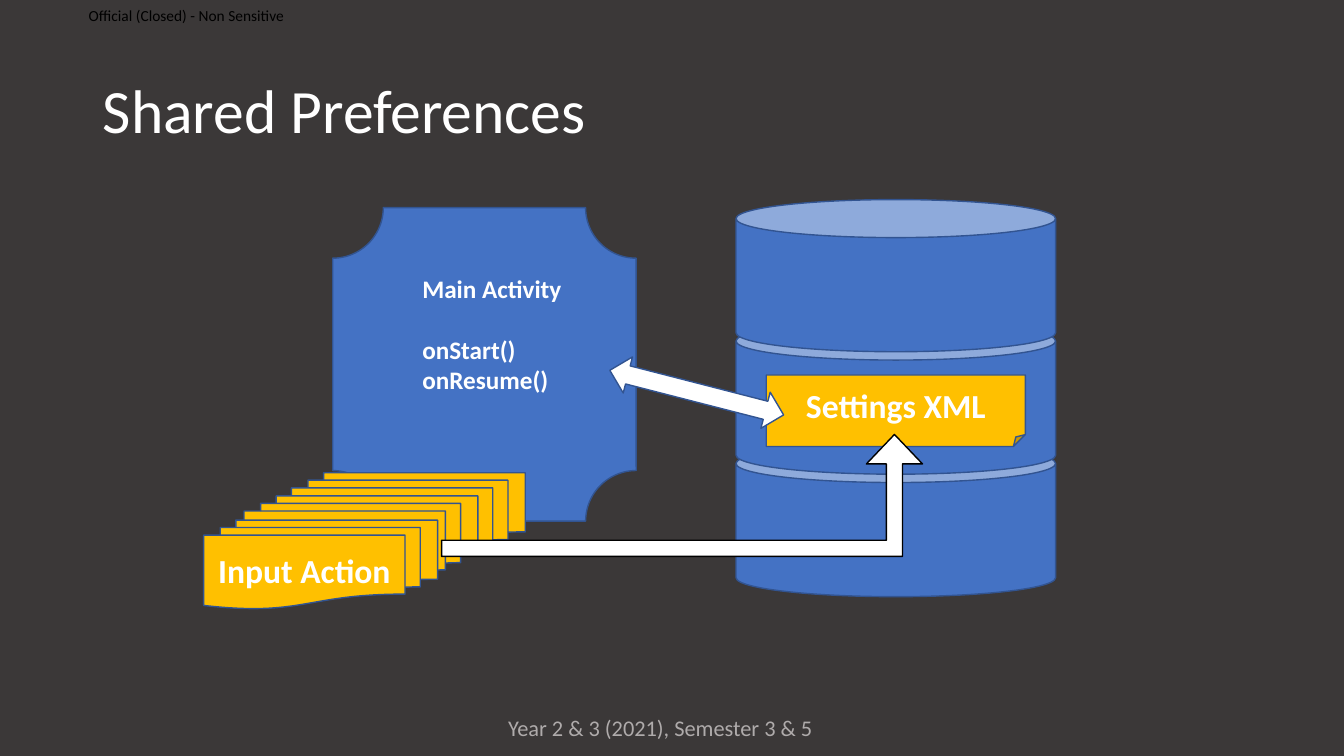
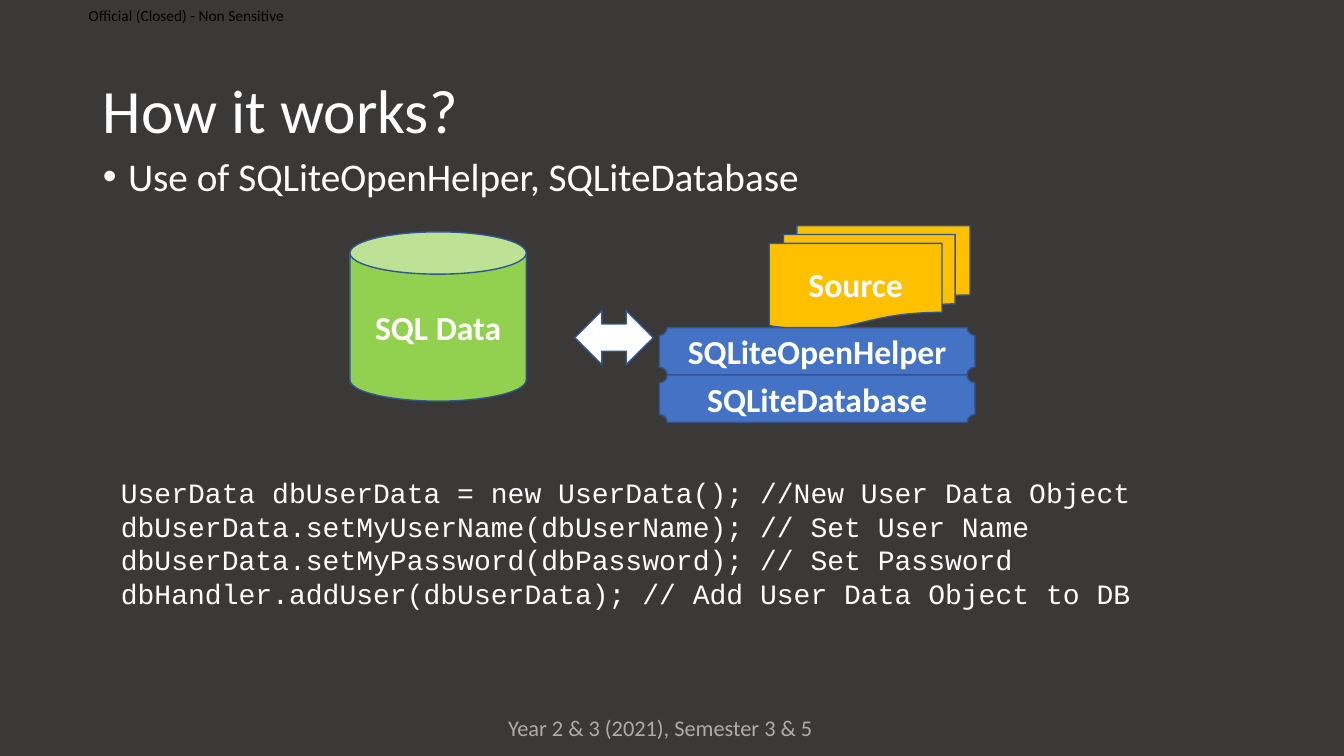
from dataclasses import dataclass

from pptx import Presentation
from pptx.dml.color import RGBColor
from pptx.enum.shapes import MSO_SHAPE
from pptx.enum.text import MSO_ANCHOR, PP_ALIGN
from pptx.util import Inches, Pt

LEFT, CENTER = PP_ALIGN.LEFT, PP_ALIGN.CENTER
TOP, MIDDLE = MSO_ANCHOR.TOP, MSO_ANCHOR.MIDDLE
CAN, PLAQUE, NOTE = MSO_SHAPE.CAN, MSO_SHAPE.PLAQUE, MSO_SHAPE.FOLDED_CORNER
DOCUMENTS = MSO_SHAPE.FLOWCHART_MULTIDOCUMENT
TWO_WAY, BENT_UP = MSO_SHAPE.LEFT_RIGHT_ARROW, MSO_SHAPE.BENT_UP_ARROW
TITLE_AND_CONTENT, TITLE_ONLY = 1, 5


@dataclass(frozen=True)
class Theme:
    background: str = "3B3838"
    text: str = "FFFFFF"
    footer: str = "AFABAB"
    black: str = "000000"
    blue: str = "4472C4"
    outline: str = "325491"
    gold: str = "FFC000"
    green: str = "92D050"
    font: str = "Calibri"
    code_font: str = "Courier New"
    title_size: int = 44
    body_size: int = 28
    label_size: int = 24
    code_size: int = 20
    method_size: int = 18
    footer_size: int = 16
    mark_size: int = 11


THEME = Theme()


def rgb(value):
    return RGBColor.from_string(value)


def place(shape, box):
    shape.left, shape.top, shape.width, shape.height = map(Inches, box)


def write_text(shape, *lines, size, color=THEME.text, font=THEME.font,
               bold=False, align=LEFT, anchor=TOP, wrap=True, spacing=None):
    """Fill a shape with one paragraph per line and return the paragraphs."""
    tf = shape.text_frame
    tf.word_wrap = wrap
    tf.vertical_anchor = anchor
    for i, line in enumerate(lines):
        p = tf.add_paragraph() if i else tf.paragraphs[0]
        p.alignment = align
        if spacing:
            p.line_spacing = spacing
        r = p.add_run()
        r.text = line
        r.font.size = Pt(size)
        r.font.name = font
        r.font.bold = bold
        r.font.color.rgb = rgb(color)
    return tf.paragraphs


def add_text(s, box, *lines, **style):
    tb = s.shapes.add_textbox(*map(Inches, box))
    write_text(tb, *lines, **style)
    return tb


def add_figure(s, kind, box, fill, label=None, line=THEME.outline):
    shape = s.shapes.add_shape(kind, *map(Inches, box))
    shape.shadow.inherit = False
    shape.fill.solid()
    shape.fill.fore_color.rgb = rgb(fill)
    shape.line.color.rgb = rgb(line)
    shape.line.width = Pt(1)
    if label:
        write_text(shape, label, size=THEME.label_size, bold=True,
                   align=CENTER, anchor=MIDDLE)
    return shape


def add_slide(prs, layout, title):
    """Add a slide with its title, footer and classification mark."""
    s = prs.slides.add_slide(prs.slide_layouts[layout])
    add_text(s, (4.92, 7.04, 3.26, 0.37), "Year 2 & 3 (2021), Semester 3 & 5",
             size=THEME.footer_size, color=THEME.footer, align=CENTER, wrap=False)
    mark = add_text(s, (0, 0, 3.01, 0.31), "Official (Closed) - Non Sensitive",
                    size=THEME.mark_size, color=THEME.black, anchor=MIDDLE)
    tf = mark.text_frame
    tf.margin_left = Inches(0.88)
    tf.margin_top = tf.margin_right = tf.margin_bottom = 0
    place(s.shapes.title, (0.92, 0.4, 11.5, 1.45))
    write_text(s.shapes.title, title, size=THEME.title_size, anchor=MIDDLE,
               spacing=0.9)
    return s


def add_bullets(s, box, *items):
    body = s.placeholders[1]
    place(body, box)
    for p in write_text(body, *items, size=THEME.body_size, spacing=0.9):
        p.space_before = Pt(10)
        pPr = p._p.get_or_add_pPr()
        pPr.set("marL", str(Inches(0.25)))
        pPr.set("indent", str(Inches(-0.25)))


def add_storage(s, x, y, w, h):
    """Stack three cans, bottom first, with the settings note on the middle one."""
    can_h, step = 1.51, (h - 1.51) / 2
    for level in (2, 1, 0):
        add_figure(s, CAN, (x, y + level * step, w, can_h), THEME.blue)
    add_figure(s, NOTE, (x + 0.3, y + 1.74, w - 0.6, 0.71), THEME.gold,
               "Settings XML")


def add_activity(s, x, y, w, h):
    add_figure(s, PLAQUE, (x, y, w, h), THEME.blue)
    methods = add_text(s, (x + 0.79, y + 0.6, 1.6, 1.31),
                       "Main Activity", "onStart()", "onResume()",
                       size=THEME.method_size, bold=True, wrap=False)
    methods.text_frame.paragraphs[1].space_before = Pt(22)


def add_input_flow(s, x, y):
    """Draw the input documents, the front one over the tail of the arrow."""
    def documents(dx, dy):
        add_figure(s, DOCUMENTS, (x + dx, y + dy, 2.32, 0.88), THEME.gold,
                   "Input Action")

    documents(0.87, 0)
    documents(0.4, 0.23)
    arrow = add_figure(s, BENT_UP, (x + 2.36, y - 0.38, 4.77, 1.21),
                       THEME.text, line=THEME.black)
    for i, value in enumerate((0.132, 0.23, 0.242)):
        arrow.adjustments[i] = value
    documents(0, 0.47)


def add_database_diagram(s, x, y):
    add_figure(s, CAN, (x, y + 0.06, 1.75, 1.68), THEME.green, "SQL Data")
    add_figure(s, DOCUMENTS, (x + 4.16, y, 1.99, 1.03), THEME.gold, "Source")
    add_figure(s, TWO_WAY, (x + 2.23, y + 0.84, 0.78, 0.54), THEME.text)
    row_h = 0.47
    for i, name in enumerate(("SQLiteOpenHelper", "SQLiteDatabase")):
        add_figure(s, PLAQUE, (x + 3.07, y + 1.01 + i * row_h, 3.13, row_h),
                   THEME.blue, name)


def build_preferences(prs):
    s = add_slide(prs, TITLE_ONLY, "Shared Preferences")
    add_storage(s, 7.3, 1.98, 3.17, 3.94)
    add_activity(s, 3.3, 2.06, 3.01, 3.11)
    link = add_figure(s, TWO_WAY, (6.02, 3.71, 1.78, 0.37), THEME.text)
    link.rotation = 14.4
    add_input_flow(s, 2.02, 4.69)


def build_how_it_works(prs):
    s = add_slide(prs, TITLE_AND_CONTENT, "How it works?")
    add_bullets(s, (0.92, 1.51, 7.58, 0.73),
                "Use of SQLiteOpenHelper, SQLiteDatabase")
    add_database_diagram(s, 3.47, 2.24)
    add_text(s, (1.1, 4.67, 11.75, 1.45),
             "UserData dbUserData = new UserData(); //New User Data Object",
             "dbUserData.setMyUserName(dbUserName); // Set User Name",
             "dbUserData.setMyPassword(dbPassword); // Set Password",
             "dbHandler.addUser(dbUserData); // Add User Data Object to DB",
             size=THEME.code_size, font=THEME.code_font)


def main():
    prs = Presentation()
    prs.slide_width, prs.slide_height = Inches(13.33), Inches(7.5)
    fill = prs.slide_master.background.fill
    fill.solid()
    fill.fore_color.rgb = rgb(THEME.background)
    build_preferences(prs)
    build_how_it_works(prs)
    prs.save("out.pptx")


if __name__ == "__main__":
    main()
